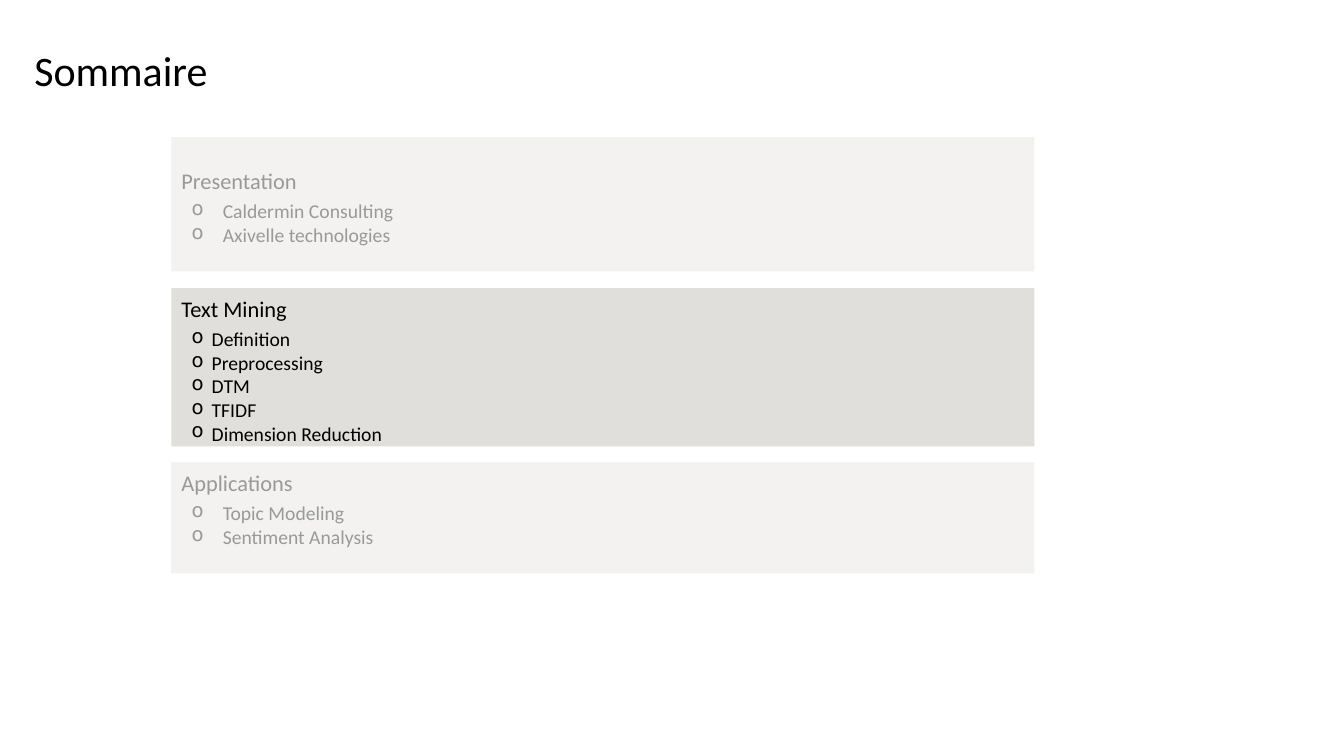
from dataclasses import dataclass

from lxml.etree import SubElement
from pptx import Presentation
from pptx.dml.color import RGBColor
from pptx.enum.shapes import MSO_SHAPE as Preset
from pptx.enum.text import MSO_ANCHOR as Anchor, PP_ALIGN as Align
from pptx.oxml.ns import qn
from pptx.util import Inches, Pt

FONT = "Calibri"
BLACK, WHITE, PANEL = "000000", "FFFFFF", "E1DFDB"
PANEL_LEFT, PANEL_WIDTH = 1.7, 8.56
HEADING_SPACE = 3.8


@dataclass
class Section:
    heading: str
    topics: list[str]
    top: float
    height: float
    level: int = 1
    margin: float = 0.51
    hanging: float = 0.31
    bottom_inset: float = 0


@dataclass
class Veil:
    left: float
    top: float
    width: float
    height: float
    opacity: int = 60


SECTIONS = [
    Section("Presentation", ["Caldermin Consulting", "Axivelle technologies"], 1.36, 1.33),
    Section("Text Mining",
            ["Definition", "Preprocessing", "DTM", "TFIDF", "Dimension Reduction"],
            2.86, 1.57, level=2, margin=0.4, hanging=0.2),
    Section("Applications", ["Topic Modeling", "Sentiment Analysis"], 4.59, 1.1,
            bottom_inset=0.24),
]
VEILS = [Veil(1.7, 4.59, 8.9, 1.64), Veil(1.53, 1.06, 8.9, 1.63)]


def rgb(color: str) -> RGBColor:
    return RGBColor.from_string(color)


def set_font(paragraph, size: float) -> None:
    paragraph.font.name = FONT
    paragraph.font.size = Pt(size)
    paragraph.font.color.rgb = rgb(BLACK)


def set_indent(paragraph, margin: float, hanging: float = 0) -> None:
    properties = paragraph._p.get_or_add_pPr()
    properties.set("marL", str(Inches(margin)))
    properties.set("indent", str(-Inches(hanging)))


def add_rectangle(slide, left: float, top: float, width: float, height: float, color: str):
    rectangle = slide.shapes.add_shape(
        Preset.RECTANGLE, Inches(left), Inches(top), Inches(width), Inches(height))
    rectangle.shadow.inherit = False
    rectangle.fill.solid()
    rectangle.fill.fore_color.rgb = rgb(color)
    rectangle.line.fill.background()
    return rectangle


def add_section(slide, section: Section) -> None:
    panel = add_rectangle(slide, PANEL_LEFT, section.top, PANEL_WIDTH, section.height, PANEL)
    frame = panel.text_frame
    frame.word_wrap = True
    frame.vertical_anchor = Anchor.MIDDLE
    frame.margin_left = frame.margin_right = 0
    frame.margin_top = Pt(HEADING_SPACE)
    frame.margin_bottom = Inches(section.bottom_inset)

    heading = frame.paragraphs[0]
    heading.text = section.heading
    heading.alignment = Align.LEFT
    heading.space_after = Pt(HEADING_SPACE)
    set_indent(heading, 0.1)
    set_font(heading, 16)

    for topic in section.topics:
        entry = frame.add_paragraph()
        entry.text = topic
        entry.level = section.level
        entry.alignment = Align.LEFT
        set_indent(entry, section.margin, section.hanging)
        SubElement(entry._p.get_or_add_pPr(), qn("a:buChar"), char="o")
        set_font(entry, 14)


def add_veil(slide, veil: Veil) -> None:
    cover = add_rectangle(slide, veil.left, veil.top, veil.width, veil.height, WHITE)
    color = cover._element.spPr.find(qn("a:solidFill")).find(qn("a:srgbClr"))
    SubElement(color, qn("a:alpha"), val=str(veil.opacity * 1000))


def main() -> None:
    deck = Presentation()
    deck.slide_width, deck.slide_height = Inches(13.33), Inches(7.5)
    slide = deck.slides.add_slide(deck.slide_layouts[5])

    # Title
    title = slide.shapes.title
    title.left, title.top = Inches(0.24), Inches(0)
    title.width, title.height = Inches(11.5), Inches(1.45)
    title.text_frame.vertical_anchor = Anchor.MIDDLE
    summary = title.text_frame.paragraphs[0]
    summary.text = "Sommaire"
    summary.alignment = Align.LEFT
    summary.line_spacing = 0.9
    set_font(summary, 30)

    # Agenda sections
    for section in SECTIONS:
        add_section(slide, section)

    # Veils that fade the inactive sections
    for veil in VEILS:
        add_veil(slide, veil)

    deck.save("out.pptx")


if __name__ == "__main__":
    main()
